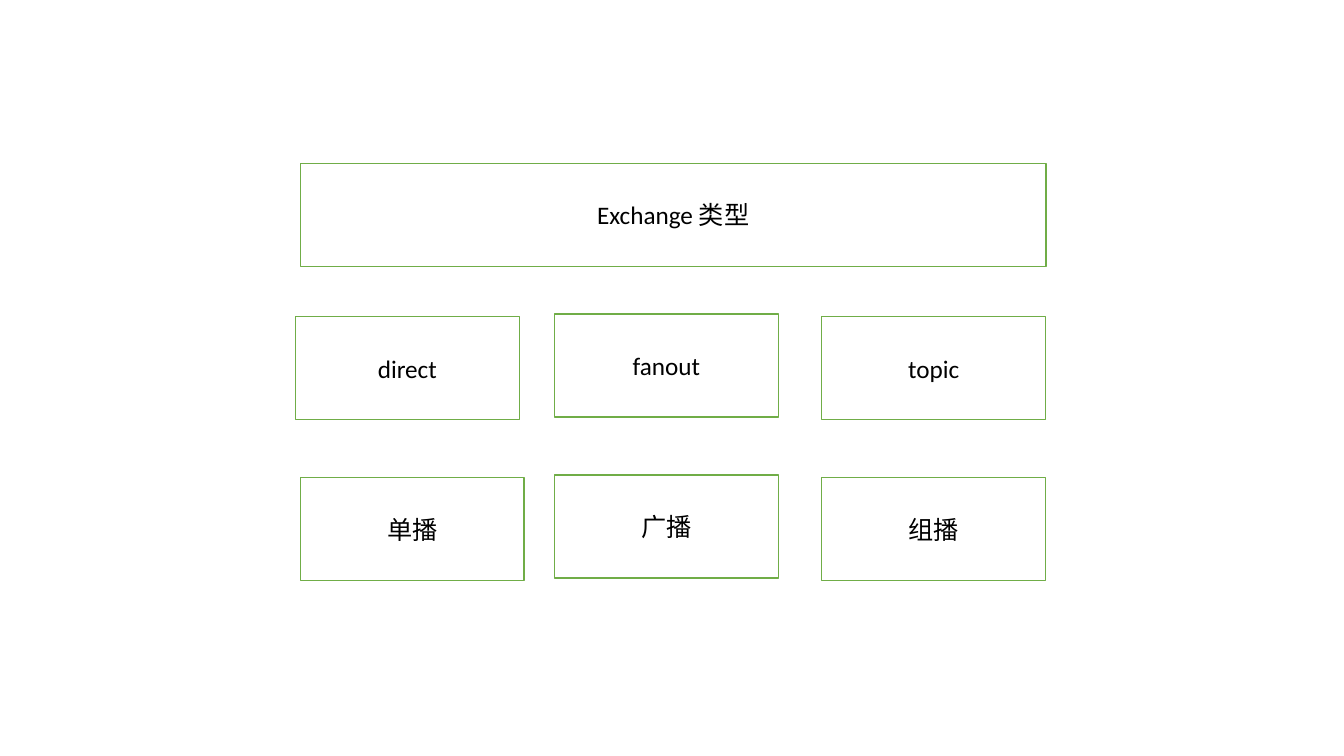
import pptx
import pptx.util
import pptx.dml.color
import pptx.enum.shapes
import pptx.enum.text

Pt = pptx.util.Pt
GREEN = pptx.dml.color.RGBColor(0x70, 0xAD, 0x47)
WHITE = pptx.dml.color.RGBColor(0xFF, 0xFF, 0xFF)
BLACK = pptx.dml.color.RGBColor(0, 0, 0)

BOX_W, BOX_H = 160, 73.5
COLUMN_X = (0, 181.5, 372.5)
MIDDLE_RISE = 1.8  # the middle column sits slightly higher


def add_box(slide, left, top, width, text):
    """Add one outlined box with centred text."""
    sp = slide.shapes.add_shape(
        pptx.enum.shapes.MSO_SHAPE.RECTANGLE,
        Pt(left), Pt(top), Pt(width), Pt(BOX_H))
    sp.shadow.inherit = False
    sp.fill.solid()
    sp.fill.fore_color.rgb = WHITE
    sp.line.color.rgb = GREEN
    sp.line.width = Pt(1)
    tf = sp.text_frame
    tf.word_wrap = True
    tf.vertical_anchor = pptx.enum.text.MSO_ANCHOR.MIDDLE
    p = tf.paragraphs[0]
    p.text = text
    p.alignment = pptx.enum.text.PP_ALIGN.CENTER
    p.font.name = "Calibri"
    p.font.size = Pt(18)
    p.font.color.rgb = BLACK


def add_row(slide, left, top, labels, first_shift=0):
    """Add a row of three boxes; first_shift moves the first one sideways."""
    for i, (x, label) in enumerate(zip(COLUMN_X, labels)):
        shift = first_shift if i == 0 else 0
        rise = MIDDLE_RISE if i == 1 else 0
        add_box(slide, left + x + shift, top - rise, BOX_W, label)


def add_exchange_types(slide, left, top, width):
    """Add the heading box with the type names and their meanings below."""
    add_box(slide, left, top, width, "Exchange 类型")
    add_row(slide, left, top + 109.5, ("direct", "fanout", "topic"), -3.5)
    add_row(slide, left, top + 224.5, ("单播", "广播", "组播"))


prs = pptx.Presentation()
prs.slide_width, prs.slide_height = Pt(960), Pt(540)
slide = prs.slides.add_slide(prs.slide_layouts[6])
add_exchange_types(slide, 214.5, 116.7, 532.7)
prs.save("out.pptx")
